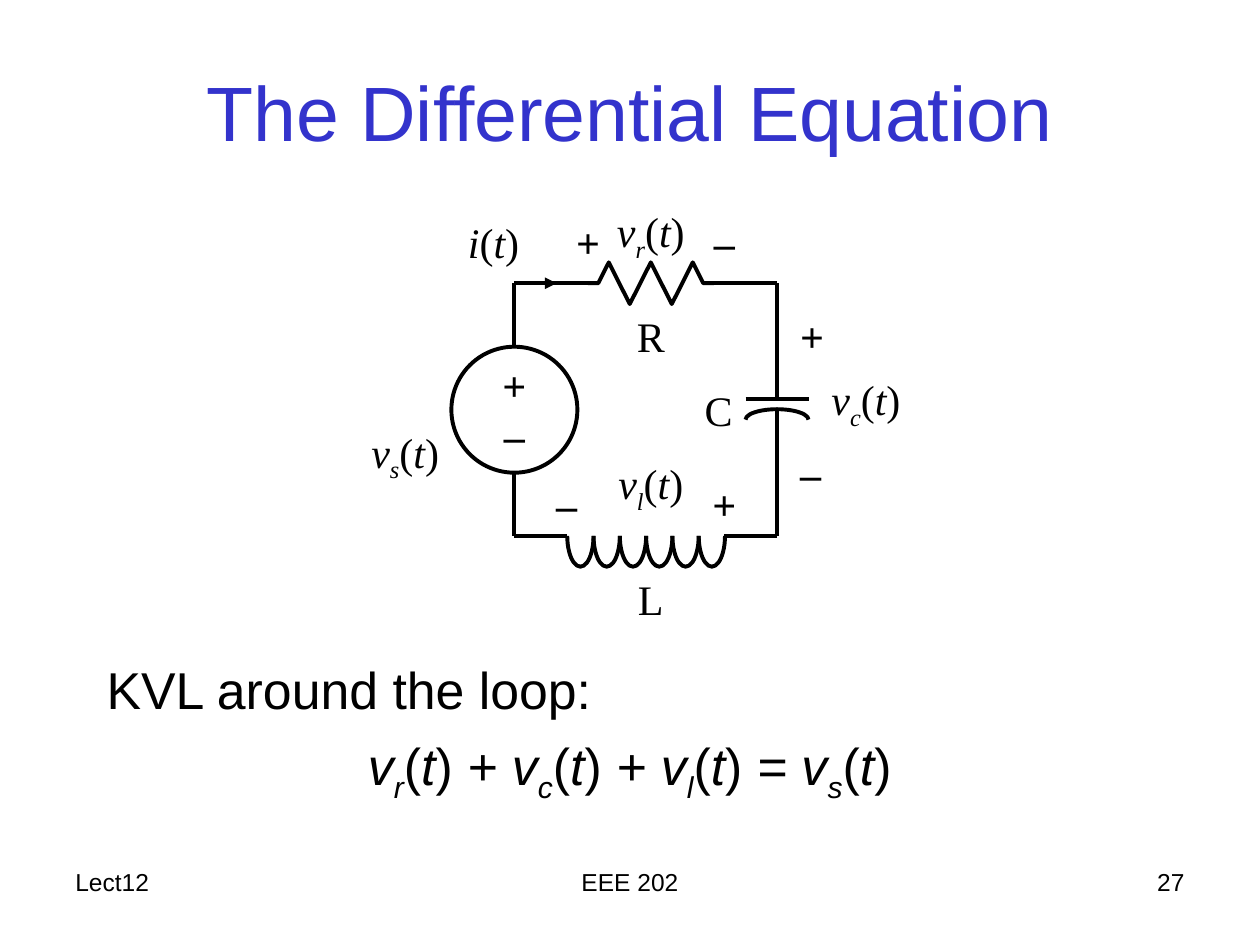
from dataclasses import dataclass

from lxml import etree
from pptx import Presentation
from pptx.dml.color import RGBColor
from pptx.enum.shapes import MSO_CONNECTOR, MSO_SHAPE
from pptx.enum.text import MSO_ANCHOR, MSO_AUTO_SIZE, PP_ALIGN
from pptx.oxml.ns import qn
from pptx.util import Cm, Pt

LEFT, CENTER, RIGHT = PP_ALIGN.LEFT, PP_ALIGN.CENTER, PP_ALIGN.RIGHT
TOP, MIDDLE = MSO_ANCHOR.TOP, MSO_ANCHOR.MIDDLE
GROW, FIXED = MSO_AUTO_SIZE.SHAPE_TO_FIT_TEXT, MSO_AUTO_SIZE.NONE
STRAIGHT = MSO_CONNECTOR.STRAIGHT
ARC, OVAL = MSO_SHAPE.ARC, MSO_SHAPE.OVAL
ARC_UNITS_PER_DEGREE = 0.6


@dataclass(frozen=True)
class Theme:
    heading: RGBColor = RGBColor(0x33, 0x33, 0xCC)
    ink: RGBColor = RGBColor(0, 0, 0)
    sans: str = "Arial"
    serif: str = "Times New Roman"
    title_size: float = 44
    body_size: float = 29.6
    label_size: float = 24
    footer_size: float = 14
    stroke: float = 2.25


THEME = Theme()
LABEL = {"name": THEME.serif, "size": Pt(THEME.label_size)}
SIGN = {**LABEL, "bold": True}
BODY = {"name": THEME.sans, "size": Pt(THEME.body_size)}
FOOTER = {"name": THEME.sans, "size": Pt(THEME.footer_size)}
TITLE = {"name": THEME.sans, "size": Pt(THEME.title_size)}


def apply(target, values):
    for attribute, value in values.items():
        setattr(target, attribute, value)


def of_time(symbol, subscript=""):
    runs = [(symbol, "italic"), (subscript, "subscript"),
            ("(", "plain"), ("t", "italic"), (")", "plain")]
    return [run for run in runs if run[0]]


def plain(text):
    return [(text, "plain")]


def write(paragraph, runs, font, color=THEME.ink, **layout):
    apply(paragraph, layout)
    for text, style in runs:
        run = paragraph.add_run()
        run.text = text
        apply(run.font, {**font, "italic": style != "plain"})
        run.font.color.rgb = color
        if style == "subscript":
            run.font._element.set("baseline", "-25000")


def add_text(shapes, box, anchor=TOP, auto_size=FIXED):
    frame = shapes.add_textbox(*map(Cm, box)).text_frame
    apply(frame, {"word_wrap": True, "vertical_anchor": anchor,
                  "auto_size": auto_size})
    return frame


def add_label(shapes, box, runs, font=LABEL, align=CENTER):
    frame = add_text(shapes, box, auto_size=GROW)
    write(frame.paragraphs[0], runs, font, alignment=align, space_before=Pt(15))


def draw_stroke(part):
    part.line.color.rgb = THEME.ink
    part.line.width = Pt(THEME.stroke)


def add_wire(shapes, start, end, arrow=False):
    wire = shapes.add_connector(STRAIGHT, *map(Cm, (*start, *end)))
    draw_stroke(wire)
    if arrow:
        etree.SubElement(wire.line._get_or_add_ln(), qn("a:tailEnd"), type="triangle")
    etree.SubElement(wire._element.spPr, qn("a:effectLst"))


def outline(part):
    part.shadow.inherit = False
    part.fill.background()
    draw_stroke(part)
    return part


def add_arc(shapes, box, start, end, rotation=0):
    arc = outline(shapes.add_shape(ARC, *map(Cm, box)))
    arc.adjustments[0] = start * ARC_UNITS_PER_DEGREE
    arc.adjustments[1] = end * ARC_UNITS_PER_DEGREE
    arc.rotation = rotation


def add_resistor(shapes, left, middle, width, swing):
    steps = (0, 1, 2, 4, 6, 8, 10, 11, 12)
    heights = (0, 0, -1, 1, -1, 1, -1, 0, 0)
    points = [(Cm(left + step * width / 12), Cm(middle + height * swing))
              for step, height in zip(steps, heights)]
    zigzag = shapes.build_freeform(*points[0])
    zigzag.add_line_segments(points[1:], close=False)
    outline(zigzag.convert_to_shape())


def add_inductor(shapes, left, top, turns=6, pitch=0.53, depth=1.24):
    for turn in range(turns):
        add_arc(shapes, (left + turn * pitch, top, depth, pitch), 270, 90, rotation=90)


def add_capacitor(shapes, left, top, width):
    add_wire(shapes, (left, top), (left + width, top))
    for start, end in ((270, 0), (180, 270)):
        add_arc(shapes, (left, top + 0.21, width, 0.42), start, end)


def add_source(shapes, box):
    source = outline(shapes.add_shape(OVAL, *map(Cm, box)))
    frame = source.text_frame
    apply(frame, {"word_wrap": False, "vertical_anchor": MIDDLE})
    for paragraph, sign in zip((frame.paragraphs[0], frame.add_paragraph()), "+–"):
        write(paragraph, plain(sign), SIGN, alignment=CENTER)


def add_circuit(shapes):
    west, east, north, south = 10.37, 15.66, 5.71, 10.8
    add_resistor(shapes, 11.85, north, 2.54, 0.42)
    add_capacitor(shapes, 15.03, 8.04, 1.27)
    add_inductor(shapes, 11.08, 10.54)
    for start, end in (
        ((14.39, north), (east, north)),
        ((west, 6.99), (west, north)),
        ((west, north), (11.85, north)),
        ((west, south), (west, 9.53)),
        ((east, north), (east, 8.04)),
        ((east, 8.26), (east, south)),
        ((west, south), (11.43, south)),
        ((14.6, south), (east, south)),
    ):
        add_wire(shapes, start, end)
    add_wire(shapes, (10.8, north), (11.22, north), arrow=True)
    add_source(shapes, (9.1, 6.99, 2.54, 2.54))

    for left, top, width, runs, align in (
        (11.85, 6.14, 2.54, plain("R"), CENTER),
        (12.06, 7.62, 2.96, plain("C"), RIGHT),
        (11.85, 11.43, 2.54, plain("L"), CENTER),
        (8.68, 4.23, 2.54, of_time("i"), CENTER),
        (11.85, 4.02, 2.54, of_time("v", "r"), CENTER),
        (16.51, 7.41, 2.54, of_time("v", "c"), LEFT),
        (11.85, 9.1, 2.54, of_time("v", "l"), CENTER),
    ):
        add_label(shapes, (left, top, width, 1.27), runs, align=align)

    for left, top, sign, align in (
        (11.01, 4.23, "+", CENTER), (13.76, 4.23, "–", CENTER),
        (15.88, 6.14, "+", LEFT), (15.88, 8.89, "–", LEFT),
        (13.76, 9.53, "+", CENTER), (10.58, 9.53, "–", CENTER),
    ):
        add_label(shapes, (left, top, 1.69, 1.27), plain(sign), SIGN, align)


def add_kvl(shapes):
    frame = add_text(shapes, (1.9, 13.13, 21.59, 3.39))
    equation = [run for symbol, subscript in
                (("v", "r"), (" + v", "c"), (" + v", "l"), (" = v", "s"))
                for run in of_time(symbol, subscript)]
    lines = ((plain("KVL around the loop:"), LEFT), (equation, CENTER))
    for paragraph, (runs, align) in zip(
            (frame.paragraphs[0], frame.add_paragraph()), lines):
        write(paragraph, runs, BODY, alignment=align, space_before=Pt(8))
        properties = paragraph._p.get_or_add_pPr()
        properties.set("marL", str(Cm(0.95)))
        properties.set("indent", str(-Cm(0.95)))


def add_footer(shapes):
    for left, width, text, align in (
        (8.68, 8.04, "EEE 202", CENTER),
        (18.84, 5.29, "27", RIGHT),
        (1.27, 5.29, "Lect12", LEFT),
    ):
        frame = add_text(shapes, (left, 17.36, width, 1.27))
        write(frame.paragraphs[0], plain(text), FOOTER, alignment=align)


def main():
    deck = Presentation()
    apply(deck, {"slide_width": Cm(25.4), "slide_height": Cm(19.05)})
    shapes = deck.slides.add_slide(deck.slide_layouts[6]).shapes
    heading = add_text(shapes, (1.27, 0.64, 22.86, 3.17), MIDDLE)
    write(heading.paragraphs[0], plain("The Differential Equation"), TITLE,
          THEME.heading, alignment=CENTER)
    add_kvl(shapes)
    add_label(shapes, (6.14, 8.47, 2.96, 1.42), of_time("v", "s"), align=RIGHT)
    add_circuit(shapes.add_group_shape().shapes)
    add_footer(shapes)
    deck.save("out.pptx")


if __name__ == "__main__":
    main()
